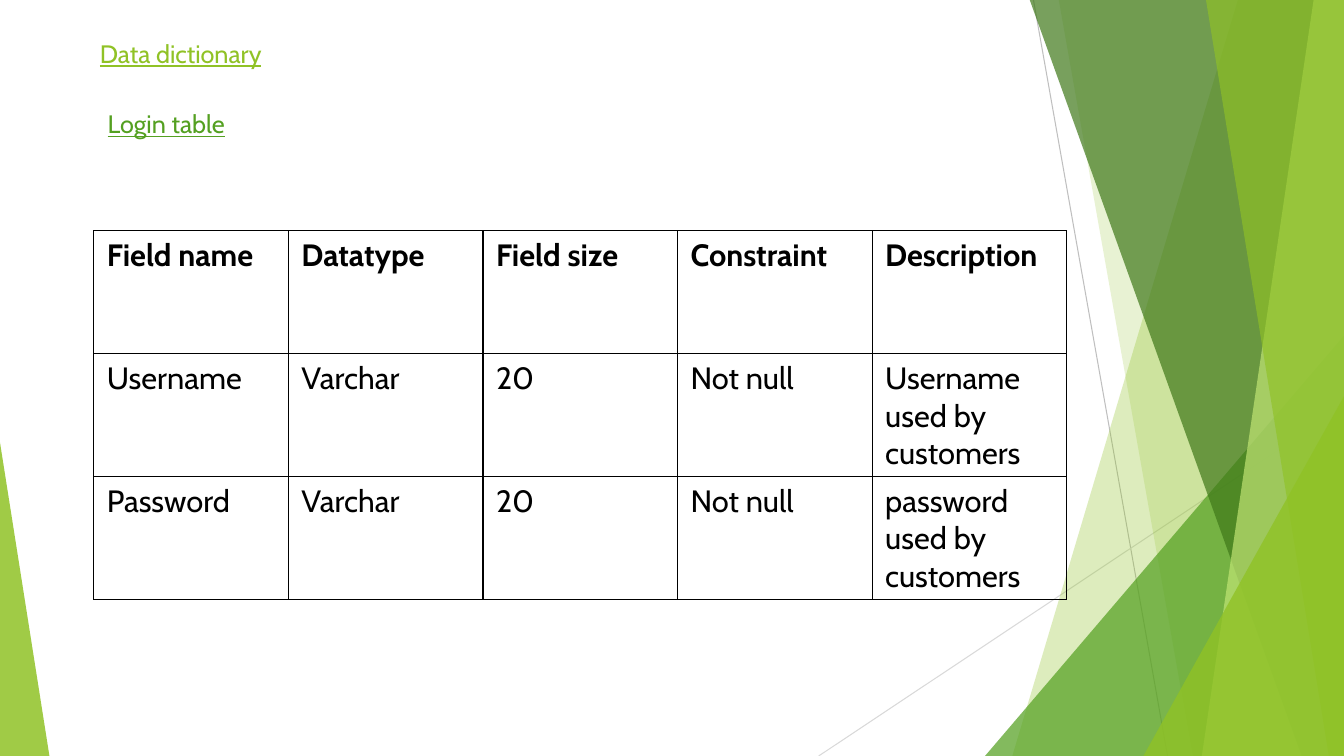
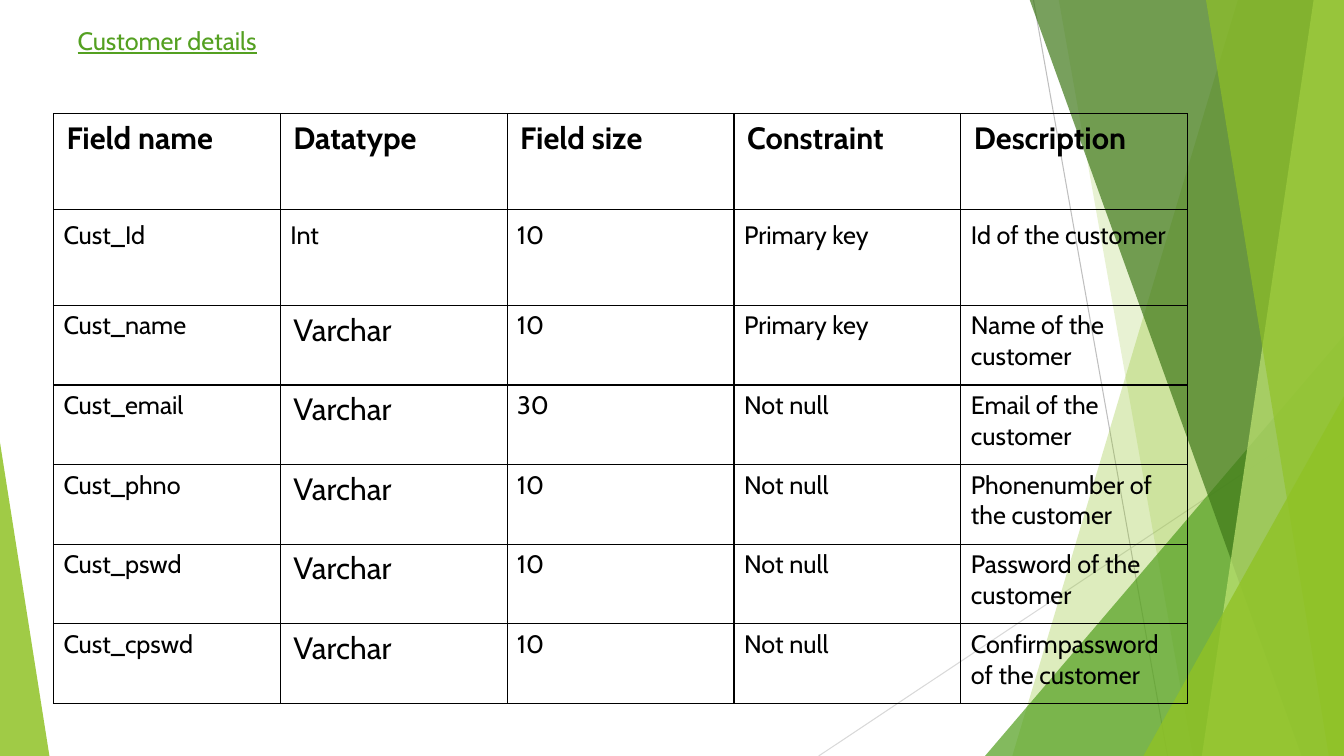
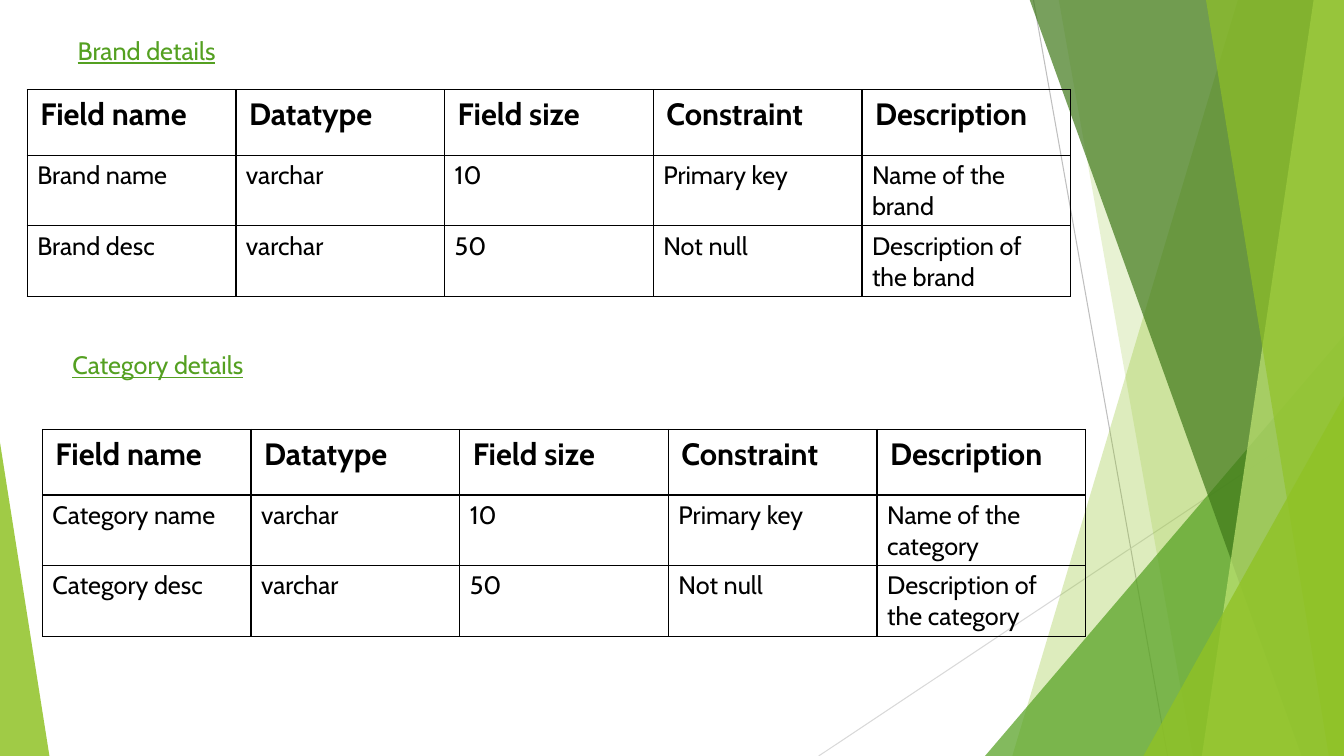
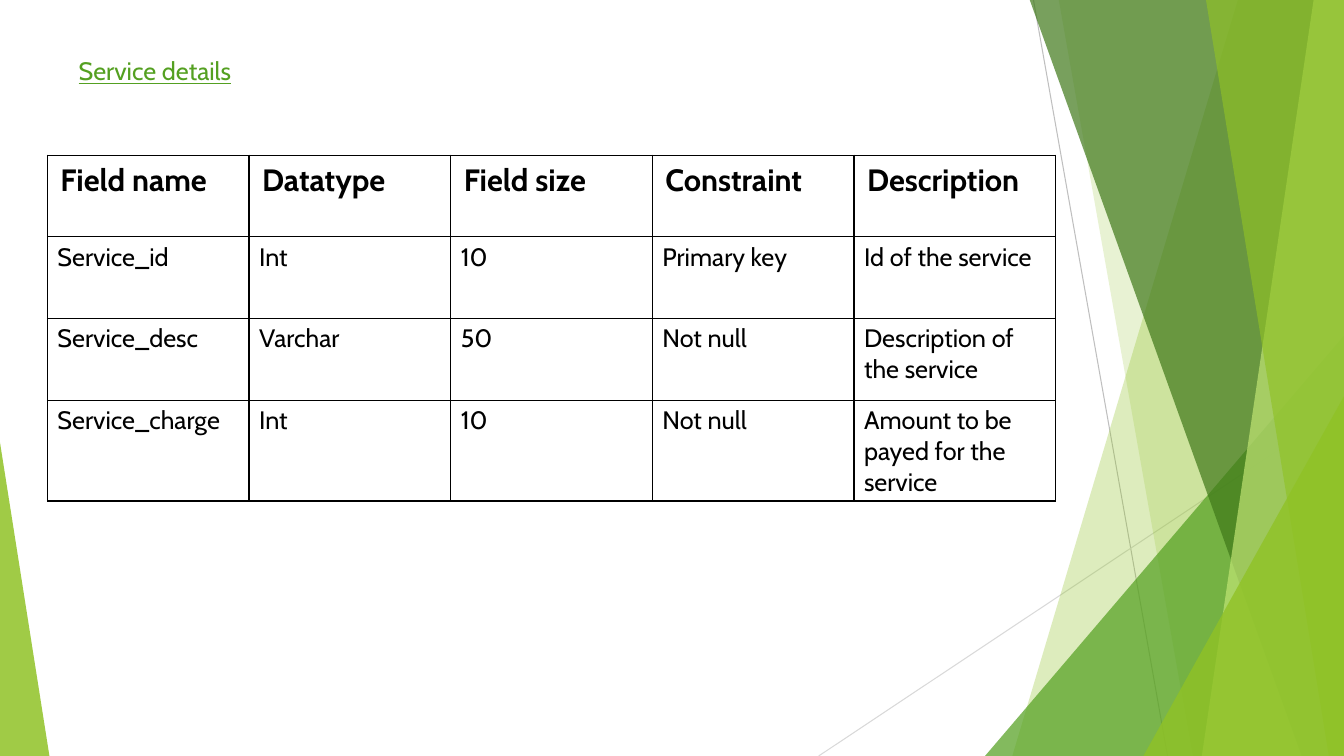
from dataclasses import dataclass

from lxml import etree
from pptx import Presentation
from pptx import util as u
from pptx.dml.color import RGBColor
from pptx.enum import shapes, text
from pptx.oxml.ns import qn

PX = 9144  # 100 px to the inch
WIDTH, HEIGHT = 1333, 750


@dataclass(frozen=True)
class Theme:
    font: str = "Cabin"
    large: int = 22
    normal: int = 18
    ink: str = "000000"
    lime: str = "90C226"
    pale_lime: str = "C0E474"
    green: str = "54A021"
    dark_green: str = "3F7819"
    grey: str = "BFBFBF"
    light_grey: str = "D9D9D9"


THEME = Theme()


def write(frame, words, size=THEME.normal, color=THEME.ink, bold=False,
          underline=False, line_spacing=None, space_after=None):
    frame.word_wrap = True
    paragraph = frame.paragraphs[0]
    paragraph.alignment = text.PP_ALIGN.LEFT
    paragraph.line_spacing = line_spacing
    if space_after is not None:
        paragraph.space_after = u.Pt(space_after)
    run = paragraph.add_run()
    run.text = words
    font = run.font
    font.name, font.size = THEME.font, u.Pt(size)
    font.bold, font.underline = bold, underline
    font.color.rgb = RGBColor.from_string(color)


def add_table(slide, left, top, column, heights, records, large, spaced_row=None):
    """Draw a field table; large(row, col) picks the body cells in large type."""
    rows = [HEADER, *records]
    table = slide.shapes.add_table(
        len(rows), len(HEADER), left * PX, top * PX,
        column * len(HEADER) * PX, sum(heights) * PX).table
    table.first_row = table.horz_banding = False
    for table_column in table.columns:
        table_column.width = column * PX
    for r, (values, height) in enumerate(zip(rows, heights)):
        table.rows[r].height = height * PX
        for c, value in enumerate(values):
            cell = table.cell(r, c)
            is_large = r == 0 or large(r, c)
            is_spaced = r == spaced_row
            cell.margin_left = cell.margin_right = (13 if is_large else 10) * PX
            cell.margin_top = cell.margin_bottom = (6 if is_large or is_spaced else 5) * PX
            properties = cell._tc.get_or_add_tcPr()
            for side in ("lnL", "lnR", "lnT", "lnB"):
                border = etree.SubElement(properties, qn(f"a:{side}"), w=str(u.Pt(1)))
                fill = etree.SubElement(border, qn("a:solidFill"))
                etree.SubElement(fill, qn("a:srgbClr"), val=THEME.ink)
            cell.fill.background()
            write(cell.text_frame, value, bold=r == 0,
                  size=THEME.large if is_large else THEME.normal,
                  line_spacing=1.15 if is_spaced else None,
                  space_after=8 if is_spaced else None)


HEADER = ("Field name", "Datatype", "Field size", "Constraint", "Description")

LOGIN = [
    ("Username", "Varchar", "20", "Not null", "Username used by customers"),
    ("Password", "Varchar", "20", "Not null", "password used by customers"),
]
CUSTOMER = [
    ("Cust_Id", "Int", "10", "Primary key", "Id of the customer"),
    ("Cust_name", "Varchar", "10", "Primary key", "Name of the customer"),
    ("Cust_email", "Varchar", "30", "Not null", "Email of the customer"),
    ("Cust_phno", "Varchar", "10", "Not null", "Phonenumber of the customer"),
    ("Cust_pswd", "Varchar", "10", "Not null", "Password of the customer"),
    ("Cust_cpswd", "Varchar", "10", "Not null", "Confirmpassword of the customer"),
]
BRAND, CATEGORY = (
    [
        (f"{entity} name", "varchar", "10", "Primary key", f"Name of the {entity.lower()}"),
        (f"{entity} desc", "varchar", "50", "Not null", f"Description of the {entity.lower()}"),
    ]
    for entity in ("Brand", "Category")
)
SERVICE = [
    ("Service_id", "Int", "10", "Primary key", "Id of the service"),
    ("Service_desc", "Varchar", "50", "Not null", "Description of the service"),
    ("Service_charge", "Int", "10", "Not null", "Amount to be payed for the service"),
]

# Headings: words, left, top, width, colour; the first is the slide title.
# Tables: left, top, column width, row heights, records, large-cell rule, spaced row.
PAGES = [
    ([("Data dictionary", 89, 33, 333, THEME.lime),
      ("Login table", 97, 103, 382, THEME.green)],
     [(93, 229, 193, [122] * 3, LOGIN, lambda r, c: True)]),
    ([("Customer details", 67, 20, 430, THEME.green)],
     [(53, 113, 225, [95] * 2 + [79] * 5, CUSTOMER, lambda r, c: r > 1 and c == 1, 1)]),
    ([("Brand details", 67, 30, 437, THEME.green),
      ("Category details", 62, 342, 421, THEME.green)],
     [(27, 89, 207, [65] * 3, BRAND, lambda r, c: False),
      (42, 426, 207, [65] * 3, CATEGORY, lambda r, c: False)]),
    ([("Service details", 68, 50, 364, THEME.green)],
     [(47, 154, 200, [81] * 4, SERVICE, lambda r, c: False)]),
]

# Panels run to the right edge: top x, bottom x. Wedges: left, top, width, apex.
RAYS = [
    (1025, 0, 1158, HEIGHT, THEME.grey),
    (WIDTH, 403, 812, HEIGHT, THEME.light_grey),
]
FACETS = [
    ("panel", (1228, 1004), THEME.lime, 30),
    ("panel", (1050, 1183), THEME.lime, 20),
    ("wedge", (977, 333, 356, 1), THEME.green, 72),
    ("panel", (1021, 1291), THEME.dark_green, 70),
    ("panel", (1303, 1192), THEME.pale_lime, 70),
    ("panel", (1196, 1318), THEME.lime, 65),
    ("wedge", (1134, 393, 199, 1), THEME.lime, 80),
    ("wedge", (0, 439, 49, 0), THEME.lime, 85),
]

prs = Presentation()
prs.slide_width, prs.slide_height = WIDTH * PX, HEIGHT * PX
layout = prs.slide_layouts.get_by_name("Title Only")
slides = [prs.slides.add_slide(layout) for page in PAGES]

# The backdrop is drawn on the first slide, then moved to the shared layout.
canvas = slides[0].shapes
backdrop = []
for x1, y1, x2, y2, color in RAYS:
    ray = canvas.add_connector(shapes.MSO_CONNECTOR.STRAIGHT,
                               x1 * PX, y1 * PX, x2 * PX, y2 * PX)
    ray.line.color.rgb = RGBColor.from_string(color)
    ray.line.width = u.Pt(0.75)
    etree.SubElement(ray.element.spPr, qn("a:effectLst"))
    backdrop.append(ray)

for kind, geometry, color, opacity in FACETS:
    if kind == "panel":
        top_x, bottom_x = geometry
        outline = canvas.build_freeform(top_x, -1, scale=PX)
        outline.add_line_segments([(WIDTH, -1), (WIDTH, HEIGHT), (bottom_x, HEIGHT)])
        facet = outline.convert_to_shape()
    else:
        left, top, width, apex = geometry
        facet = canvas.add_shape(shapes.MSO_SHAPE.ISOSCELES_TRIANGLE, left * PX, top * PX,
                                 width * PX, (HEIGHT - top) * PX)
        facet.adjustments[0] = apex
    facet.shadow.inherit = False
    facet.line.fill.background()
    facet.fill.solid()
    facet.fill.fore_color.rgb = RGBColor.from_string(color)
    tint = facet.element.spPr.find(f"{qn('a:solidFill')}/{qn('a:srgbClr')}")
    etree.SubElement(tint, qn("a:alpha"), val=str(opacity * 1000))
    backdrop.append(facet)

for number, part in enumerate(backdrop, start=101):
    part.element.find(f".//{qn('p:cNvPr')}").set("id", str(number))
    layout.shapes.element.append(part.element)

for slide, (headings, tables) in zip(slides, PAGES):
    for table in tables:
        add_table(slide, *table)
    for index, (words, left, top, width, color) in enumerate(headings):
        if index == 0:
            heading = slide.shapes.title
            heading.left, heading.top = left * PX, top * PX
            heading.width, heading.height = width * PX, 40 * PX
        else:
            heading = slide.shapes.add_textbox(left * PX, top * PX, width * PX, 40 * PX)
        heading.text_frame.vertical_anchor = text.MSO_ANCHOR.TOP
        heading.text_frame.auto_size = text.MSO_AUTO_SIZE.SHAPE_TO_FIT_TEXT
        write(heading.text_frame, words, color=color, underline=True)

prs.save("out.pptx")
